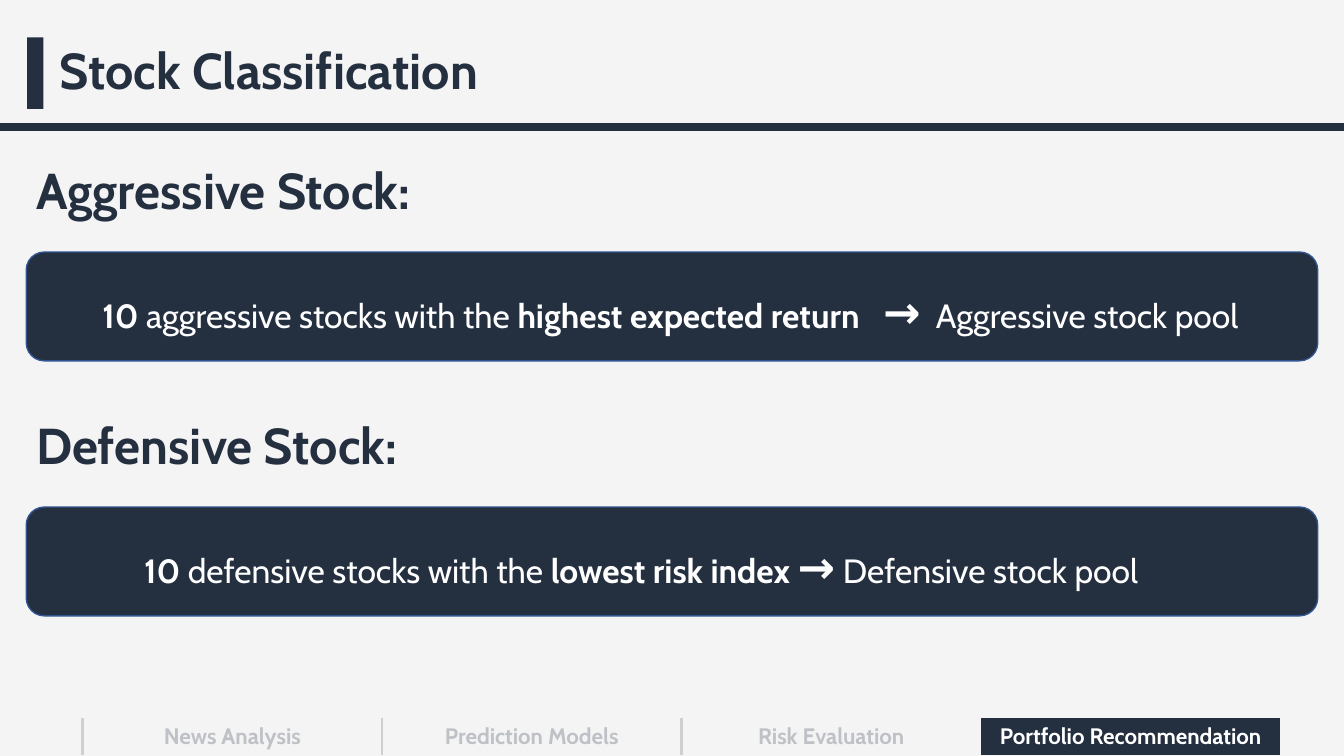
from dataclasses import dataclass

import pptx
import pptx.dml.color
import pptx.enum.shapes
import pptx.enum.text
import pptx.oxml
import pptx.oxml.ns
import pptx.util
from pptx.util import Inches

SHAPES = pptx.enum.shapes.MSO_SHAPE
ALIGN = pptx.enum.text.PP_ALIGN
ANCHOR = pptx.enum.text.MSO_ANCHOR


@dataclass(frozen=True)
class Theme:
    font: str = "Cabin"
    background: str = "F4F4F5"
    navy: str = "242F40"
    outline: str = "325491"
    divider: str = "D0CECE"
    white: str = "FFFFFF"
    heading: int = 36
    arrow: int = 32
    body: int = 24
    tab: int = 16


THEME = Theme()


def rgb(value):
    return pptx.dml.color.RGBColor.from_string(value)


def add_span(para, text, size, color, bold=True, spacing=0):
    """Add one run; spacing is extra points after each letter."""
    span = para.add_run()
    span.text = text
    span.font.name = THEME.font
    span.font.size = pptx.util.Pt(size)
    span.font.bold = bold
    span.font.color.rgb = rgb(color)
    if spacing:
        span.font._element.set("spc", str(round(spacing * 100)))
    return span


def write_heading(box, text):
    frame = box.text_frame
    frame.word_wrap = True
    frame.auto_size = pptx.enum.text.MSO_AUTO_SIZE.NONE
    frame.vertical_anchor = ANCHOR.MIDDLE
    para = frame.paragraphs[0]
    para.alignment = ALIGN.LEFT
    para.line_spacing = 0.9
    add_span(para, text, THEME.heading, THEME.navy)


def add_title(page, text):
    title = page.shapes.title
    title.left, title.top = Inches(0.49), Inches(0.4)
    title.width, title.height = Inches(11.5), Inches(0.65)
    write_heading(title, text)


def add_panel(page, kind, left, top, width, height, outline=None):
    panel = page.shapes.add_shape(
        kind, Inches(left), Inches(top), Inches(width), Inches(height))
    panel.shadow.inherit = False
    panel.fill.solid()
    panel.fill.fore_color.rgb = rgb(THEME.navy)
    if outline:
        panel.line.color.rgb = rgb(outline)
        panel.line.width = pptx.util.Pt(1)
    else:
        panel.line.fill.background()


def add_rule(page, top):
    rule = page.shapes.add_connector(
        pptx.enum.shapes.MSO_CONNECTOR.STRAIGHT,
        0, Inches(top), Inches(13.33), Inches(top))
    rule.line.color.rgb = rgb(THEME.navy)
    rule.line.width = pptx.util.Pt(6)
    pptx.oxml.ns.qn("a:effectLst")
    rule._element.spPr.append(pptx.oxml.parse_xml(
        f'<a:effectLst {pptx.oxml.ns.nsdecls("a")}/>'))


def add_statement(page, left, top, width, spans):
    box = page.shapes.add_textbox(
        Inches(left), Inches(top), Inches(width), Inches(0.82))
    box.text_frame.word_wrap = True
    para = box.text_frame.paragraphs[0]
    para.alignment = ALIGN.CENTER
    para.line_spacing = 1.5
    for text, bold, spacing in spans:
        size = THEME.arrow if text == "→" else THEME.body
        add_span(para, text, size, THEME.white, bold, spacing)


def add_category(page, top, heading, left, width, spans):
    """Add a heading with its rounded panel and statement below."""
    box = page.shapes.add_textbox(
        Inches(0.26), Inches(top), Inches(11.5), Inches(0.65))
    write_heading(box, heading)
    panel_top = top + 0.91
    add_panel(page, SHAPES.ROUNDED_RECTANGLE, 0.26, panel_top, 12.81, 1.08,
              THEME.outline)
    add_statement(page, left, panel_top, width, spans)


def set_borders(cell, left_color):
    """Draw only the left border, or none when left_color is None."""
    props = cell._tc.get_or_add_tcPr()
    for index, side in enumerate("LRTB"):
        paint = "<a:noFill/>"
        if side == "L" and left_color:
            paint = f'<a:solidFill><a:srgbClr val="{left_color}"/></a:solidFill>'
        width = pptx.util.Pt(2.25)
        props.insert(index, pptx.oxml.parse_xml(
            f'<a:ln{side} {pptx.oxml.ns.nsdecls("a")} w="{width}">{paint}</a:ln{side}>'))


def fade(span, percent):
    color = span.font._element.find(".//" + pptx.oxml.ns.qn("a:srgbClr"))
    color.append(pptx.oxml.parse_xml(
        f'<a:alpha {pptx.oxml.ns.nsdecls("a")} val="{percent * 1000}"/>'))


def add_navigation(page, sections, current):
    table = page.shapes.add_table(
        1, len(sections), Inches(0.82), Inches(7.12),
        Inches(11.88), Inches(0.37)).table
    table.first_row = table.horz_banding = False
    for cell, section in zip(table.rows[0].cells, sections):
        active = section == current
        cell.vertical_anchor = ANCHOR.MIDDLE
        para = cell.text_frame.paragraphs[0]
        para.alignment = ALIGN.CENTER
        span = add_span(para, section, THEME.tab,
                        THEME.white if active else THEME.navy)
        if active:
            cell.fill.solid()
            cell.fill.fore_color.rgb = rgb(THEME.navy)
        else:
            cell.fill.background()
            fade(span, 25)
        set_borders(cell, None if active else THEME.divider)


def main():
    deck = pptx.Presentation()
    deck.slide_width, deck.slide_height = Inches(13.33), Inches(7.5)
    page = deck.slides.add_slide(deck.slide_layouts.get_by_name("Title Only"))
    page.background.fill.solid()
    page.background.fill.fore_color.rgb = rgb(THEME.background)

    add_rule(page, 1.26)
    add_navigation(page, ["News Analysis", "Prediction Models",
                          "Risk Evaluation", "Portfolio Recommendation"],
                   "Portfolio Recommendation")
    add_panel(page, SHAPES.RECTANGLE, 0.27, 0.37, 0.16, 0.71)
    add_title(page, "Stock Classification")
    add_category(page, 1.59, "Aggressive Stock:", 0.37, 12.56, [
        ("10", True, 0),
        (" aggressive stocks with the ", False, 0),
        ("highest expected return", True, 0),
        (" ", True, 11.4),
        ("→", True, 0),
        (" ", False, 5.4),
        ("Aggressive stock pool", False, 0),
    ])
    add_category(page, 4.12, "Defensive Stock:", 0.26, 12.2, [
        ("10", True, 0),
        (" defensive stocks with the ", False, 0),
        ("lowest risk index ", True, 0),
        ("→", True, 0),
        (" Defensive stock pool", False, 0),
    ])
    deck.save("out.pptx")


if __name__ == "__main__":
    main()
